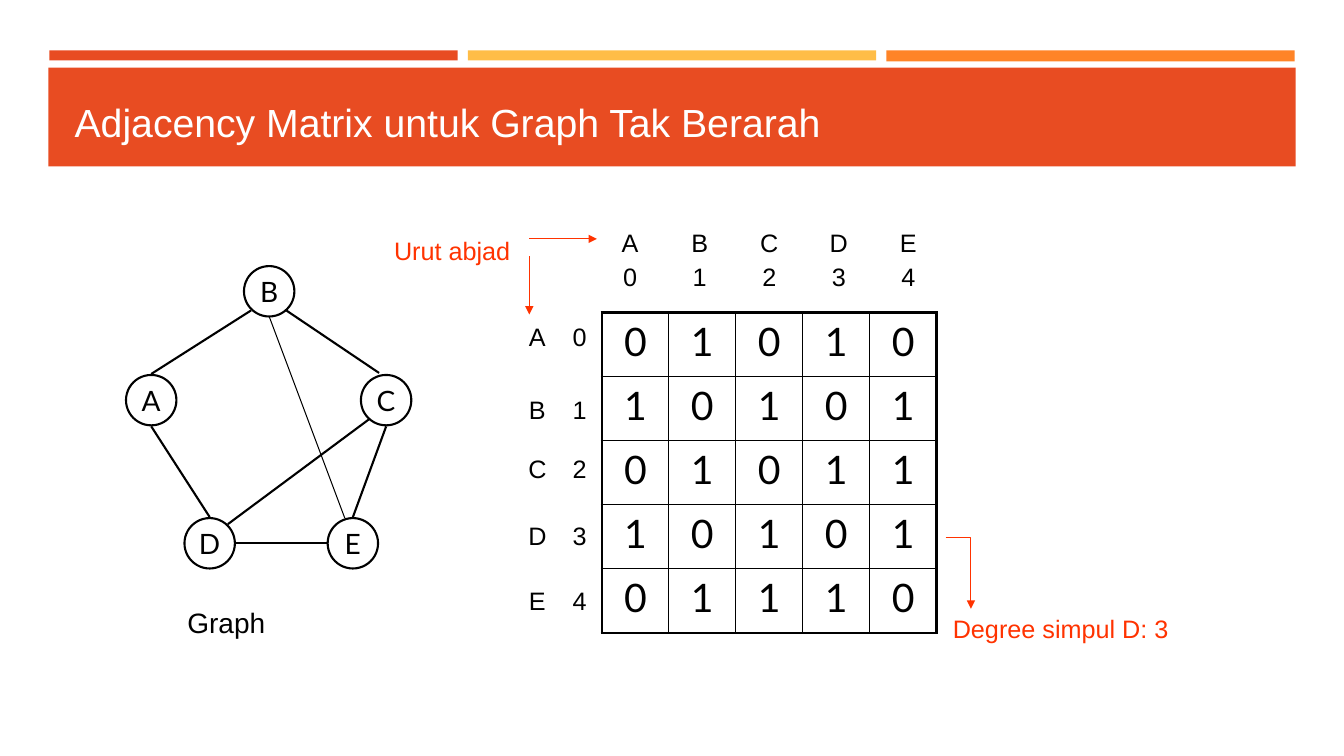
from dataclasses import dataclass

from lxml.etree import SubElement
from pptx import Presentation
from pptx.dml.color import RGBColor
from pptx.enum.shapes import MSO_CONNECTOR, MSO_SHAPE
from pptx.enum.text import MSO_ANCHOR, MSO_AUTO_SIZE, PP_ALIGN
from pptx.oxml.ns import qn
from pptx.shapes.autoshape import Shape
from pptx.shapes.connector import Connector
from pptx.slide import Slide
from pptx.table import _Cell
from pptx.text.text import TextFrame
from pptx.util import Inches, Pt

BLACK = RGBColor(0x00, 0x00, 0x00)
WHITE = RGBColor(0xFF, 0xFF, 0xFF)
BRICK = RGBColor(0xE8, 0x4C, 0x22)
AMBER = RGBColor(0xFF, 0xBD, 0x47)
ORANGE = RGBColor(0xFF, 0x84, 0x27)
RED = RGBColor(0xFF, 0x33, 0x00)
VERTICES = "ABCDE"
VERTEX_SIZE = 0.5
THIN, THICK = 1, 2.25


@dataclass
class Bar:
    x: float
    y: float
    w: float
    h: float
    color: RGBColor


@dataclass
class Vertex:
    name: str
    x: float
    y: float


@dataclass
class Edge:
    ends: str
    x1: float
    y1: float
    x2: float
    y2: float
    width: float = 1.5


@dataclass
class Label:
    text: str
    x: float
    y: float
    w: float = 0.5
    h: float = 0.4
    size: float = 18
    color: RGBColor = BLACK
    align: PP_ALIGN = PP_ALIGN.CENTER


@dataclass
class Arrow:
    x1: float
    y1: float
    x2: float
    y2: float
    kind: MSO_CONNECTOR = MSO_CONNECTOR.STRAIGHT


BARS = [
    Bar(0.49, 0.5, 4.05, 0.1, BRICK),
    Bar(8.79, 0.5, 4.05, 0.11, ORANGE),
    Bar(4.64, 0.5, 4.05, 0.1, AMBER),
    Bar(0.48, 0.67, 12.37, 0.98, BRICK),
]
GRAPH = [
    Vertex("B", 2.42, 2.64),
    Vertex("A", 1.25, 3.72),
    Vertex("C", 3.58, 3.72),
    Vertex("D", 1.83, 5.14),
    Vertex("E", 3.25, 5.14),
]
EDGES = [
    Edge("AB", 2.49, 3.08, 1.5, 3.71),
    Edge("AD", 1.5, 4.23, 2.08, 5.13),
    Edge("CD", 2.26, 5.2, 3.66, 4.16),
    Edge("DE", 2.34, 5.39, 3.24, 5.39),
    Edge("CE", 3.83, 4.23, 3.5, 5.13),
    Edge("BC", 2.84, 3.08, 3.76, 3.7),
    Edge("BE", 3.42, 5.14, 2.67, 3.14, 0.75),
]
ROW_LABEL_TOPS = [3.14, 3.86, 4.45, 5.11, 5.76]
NOTES = [
    Label("Graph", 1.33, 5.96, 1.83, 0.43, 20),
    Label("Urut abjad", 3.33, 2.29, 1.83, color=RED, align=PP_ALIGN.RIGHT),
    Label("Degree simpul D: 3", 9.06, 6.04, 2.92, color=RED),
]
ARROWS = [
    Arrow(5.25, 2.37, 5.92, 2.37),
    Arrow(5.25, 2.54, 5.25, 3.12),
    Arrow(9.38, 5.33, 9.63, 6.04, MSO_CONNECTOR.ELBOW),
]


def write(tf: TextFrame, text: str, size: float, font: str, color: RGBColor,
          align: PP_ALIGN = PP_ALIGN.CENTER) -> None:
    p = tf.paragraphs[0]
    p.alignment = align
    r = p.add_run()
    r.text = text
    r.font.size = Pt(size)
    r.font.name = font
    r.font.color.rgb = color


def add_bar(s: Slide, bar: Bar) -> None:
    sp = s.shapes.add_shape(MSO_SHAPE.RECTANGLE, Inches(bar.x), Inches(bar.y),
                            Inches(bar.w), Inches(bar.h))
    sp.shadow.inherit = False
    sp.fill.solid()
    sp.fill.fore_color.rgb = bar.color
    sp.line.fill.background()


def format_title(title: Shape) -> None:
    title.left, title.top = Inches(0.64), Inches(0.77)
    title.width, title.height = Inches(12.06), Inches(0.88)
    tf = title.text_frame
    tf.vertical_anchor = MSO_ANCHOR.MIDDLE
    write(tf, "Adjacency Matrix untuk Graph Tak Berarah", 28, "Arial", WHITE, PP_ALIGN.LEFT)


def add_vertex(s: Slide, vertex: Vertex) -> None:
    sp = s.shapes.add_shape(MSO_SHAPE.OVAL, Inches(vertex.x), Inches(vertex.y),
                            Inches(VERTEX_SIZE), Inches(VERTEX_SIZE))
    sp.shadow.inherit = False
    sp.fill.background()
    sp.line.color.rgb = BLACK
    sp.line.width = Pt(1.5)
    tf = sp.text_frame
    tf.word_wrap = False
    tf.vertical_anchor = MSO_ANCHOR.MIDDLE
    write(tf, vertex.name, 20, "Lato", BLACK)


def add_line(s: Slide, item: Edge | Arrow, kind: MSO_CONNECTOR, color: RGBColor,
             width: float) -> Connector:
    line = s.shapes.add_connector(kind, Inches(item.x1), Inches(item.y1),
                                  Inches(item.x2), Inches(item.y2))
    line.line.color.rgb = color
    line.line.width = Pt(width)
    SubElement(line.element.spPr, qn("a:effectLst"))
    return line


def add_arrow(s: Slide, arrow: Arrow) -> None:
    line = add_line(s, arrow, arrow.kind, RED, 0.75)
    SubElement(line.get_or_add_ln(), qn("a:tailEnd"), type="triangle")
    if arrow.kind == MSO_CONNECTOR.ELBOW:
        line.element.spPr.find(qn("a:prstGeom")).set("prst", "bentConnector2")


def add_label(s: Slide, label: Label) -> None:
    sp = s.shapes.add_textbox(Inches(label.x), Inches(label.y),
                              Inches(label.w), Inches(label.h))
    tf = sp.text_frame
    tf.word_wrap = True
    tf.auto_size = MSO_AUTO_SIZE.SHAPE_TO_FIT_TEXT
    write(tf, label.text, label.size, "Arial", label.color, label.align)


def set_borders(cell: _Cell, row: int, col: int) -> None:
    last = len(VERTICES) - 1
    tcPr = cell._tc.get_or_add_tcPr()
    outer = {"L": col == 0, "R": col == last, "T": row == 0, "B": row == last}
    for side, is_outer in outer.items():
        ln = SubElement(tcPr, qn(f"a:ln{side}"), w=str(Pt(THICK if is_outer else THIN)))
        fill = SubElement(ln, qn("a:solidFill"))
        SubElement(fill, qn("a:srgbClr"), val=str(BLACK))


def add_matrix(s: Slide) -> None:
    n = len(VERTICES)
    table = s.shapes.add_table(n, n, Inches(5.97), Inches(3.1),
                               Inches(3.32), Inches(3.18)).table
    table.first_row = table.horz_banding = False
    linked = {frozenset(edge.ends) for edge in EDGES}
    for row, start in enumerate(VERTICES):
        for col, end in enumerate(VERTICES):
            cell = table.cell(row, col)
            set_borders(cell, row, col)
            cell.fill.background()
            value = int(frozenset((start, end)) in linked)
            write(cell.text_frame, str(value), 28, "Lato", BLACK)


def main() -> None:
    prs = Presentation()
    prs.slide_width, prs.slide_height = Inches(13.33), Inches(7.5)
    s = prs.slides.add_slide(prs.slide_layouts[5])
    title = s.shapes.title
    for bar in BARS:
        add_bar(s, bar)
    title.element.getparent().append(title.element)
    format_title(title)
    for vertex in GRAPH:
        add_vertex(s, vertex)
    for edge in EDGES:
        add_line(s, edge, MSO_CONNECTOR.STRAIGHT, BLACK, edge.width)
    add_matrix(s)
    for i, (name, top) in enumerate(zip(VERTICES, ROW_LABEL_TOPS)):
        x = 6 + 0.69 * i
        for label in (Label(name, x, 2.21), Label(str(i), x, 2.54),
                      Label(name, 5.08, top), Label(str(i), 5.5, top)):
            add_label(s, label)
    for arrow in ARROWS:
        add_arrow(s, arrow)
    for note in NOTES:
        add_label(s, note)
    prs.save("out.pptx")


if __name__ == "__main__":
    main()
